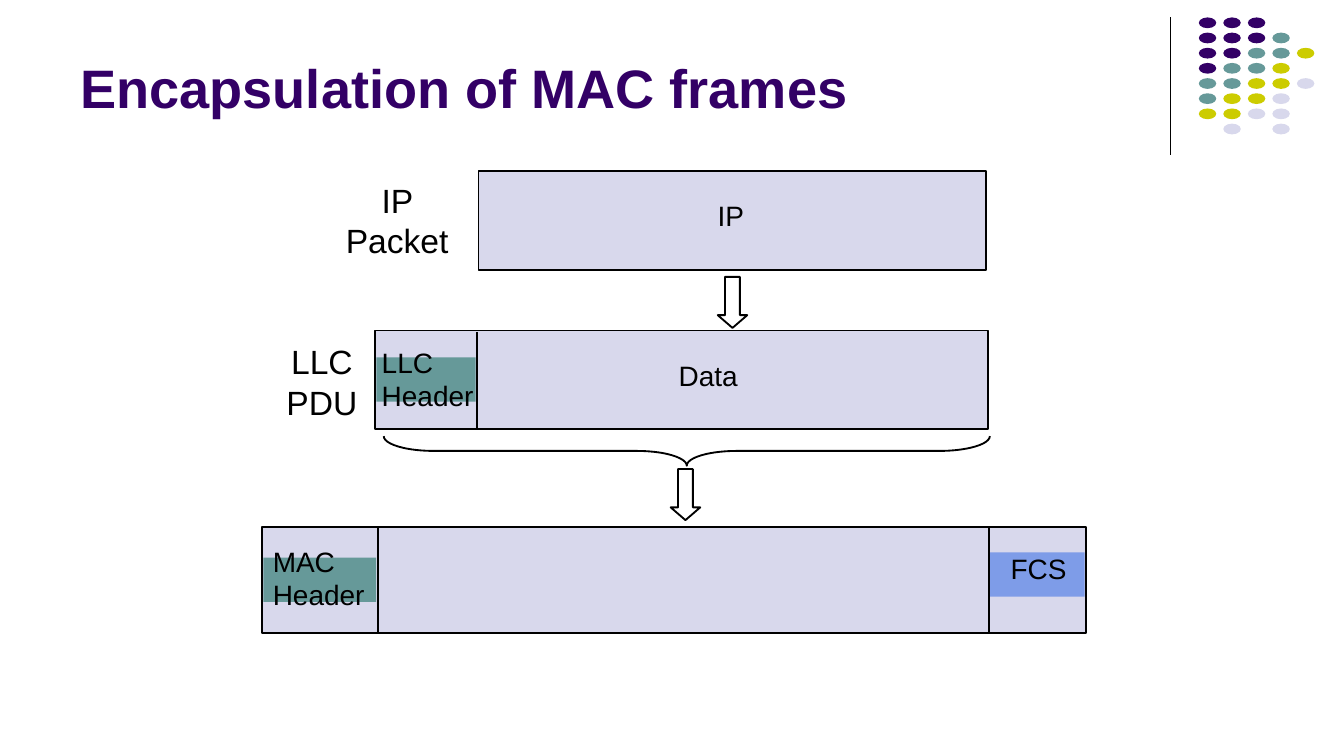
import pptx
import pptx.dml.color
import pptx.enum.shapes
import pptx.enum.text
import pptx.oxml
import pptx.util
from pptx.util import Inches

RGBColor = pptx.dml.color.RGBColor
MSO_SHAPE = pptx.enum.shapes.MSO_SHAPE
ALIGN = pptx.enum.text.PP_ALIGN
ANCHOR = pptx.enum.text.MSO_ANCHOR

BLACK = RGBColor(0x00, 0x00, 0x00)
WHITE = RGBColor(0xFF, 0xFF, 0xFF)
PURPLE = RGBColor(0x33, 0x00, 0x66)
TEAL = RGBColor(0x66, 0x99, 0x99)
YELLOW = RGBColor(0xCC, 0xCC, 0x00)
LAVENDER = RGBColor(0xD8, 0xD8, 0xEC)
BLUE = RGBColor(0x7E, 0x9C, 0xE8)

deck = pptx.Presentation()
deck.slide_width = Inches(10)
deck.slide_height = Inches(10 * 9 / 16)
page = deck.slides.add_slide(deck.slide_layouts[6])


def add_shape(kind, left, top, width, height, fill=None, outlined=True):
    shape = page.shapes.add_shape(kind, Inches(left), Inches(top), Inches(width), Inches(height))
    shape.shadow.inherit = False
    if fill is None:
        shape.fill.background()
    else:
        shape.fill.solid()
        shape.fill.fore_color.rgb = fill
    if outlined:
        shape.line.color.rgb = BLACK
        shape.line.width = pptx.util.Pt(1)
    else:
        shape.line.fill.background()
    return shape


def add_text(text, left, top, width, height, size, inset_x, inset_y,
             anchor=ANCHOR.TOP, align=ALIGN.LEFT, wrap=True, color=BLACK, bold=False):
    box = page.shapes.add_textbox(Inches(left), Inches(top), Inches(width), Inches(height))
    frame = box.text_frame
    frame.word_wrap = wrap
    frame.vertical_anchor = anchor
    frame.margin_left = frame.margin_right = Inches(inset_x)
    frame.margin_top = frame.margin_bottom = Inches(inset_y)
    para = frame.paragraphs[0]
    para.alignment = align
    span = para.add_run()
    span.text = text
    span.font.name = "Arial"
    span.font.size = pptx.util.Pt(size)
    span.font.bold = bold
    span.font.color.rgb = color


dot_colors = {"P": PURPLE, "T": TEAL, "Y": YELLOW, "L": LAVENDER}
dot_rows = ["PPP", "PPPT", "PPTTY", "PTTY", "TTYYL", "TYYL", "YYLL", ".L.L"]
column_step = (9.65 - 8.92) / 4
row_step = (0.92 - 0.13) / 7
for row, letters in enumerate(dot_rows):
    for column, letter in enumerate(letters):
        if letter in dot_colors:
            add_shape(MSO_SHAPE.OVAL, 8.92 + column_step * column, 0.13 + row_step * row,
                      0.13, 0.08, dot_colors[letter], outlined=False)

add_text("Encapsulation of MAC frames", 0.5, 0.1, 8.25, 0.84, 29, 0.1, 0.05,
         anchor=ANCHOR.BOTTOM, color=PURPLE, bold=True)

for left, top, width, height in [(3.56, 1.27, 3.78, 0.74), (2.79, 2.46, 4.56, 0.73),
                                 (1.95, 3.92, 6.13, 0.79)]:
    add_shape(MSO_SHAPE.RECTANGLE, left, top, width, height, LAVENDER)

for left, top, width, fill in [(2.8, 2.66, 0.74, TEAL), (1.96, 4.15, 0.84, TEAL),
                               (7.36, 4.11, 0.71, BLUE)]:
    add_shape(MSO_SHAPE.RECTANGLE, left, top, width, 0.33, fill, outlined=False)

for x, top, bottom, weight in [(8.71, 0.13, 1.15, 0.75), (3.55, 2.47, 3.2, 1),
                               (2.81, 3.93, 4.72, 1), (7.36, 3.93, 4.71, 1)]:
    divider = page.shapes.add_connector(pptx.enum.shapes.MSO_CONNECTOR.STRAIGHT,
                                        Inches(x), Inches(top), Inches(x), Inches(bottom))
    divider.line.color.rgb = BLACK
    divider.line.width = pptx.util.Pt(weight)
    divider.element.spPr.append(pptx.oxml.parse_xml(
        '<a:effectLst xmlns:a="http://schemas.openxmlformats.org/drawingml/2006/main"/>'))

for left, top in [(5.34, 2.06), (4.99, 3.49)]:
    arrow = add_shape(MSO_SHAPE.DOWN_ARROW, left, top, 0.22, 0.38, WHITE)
    arrow.adjustments[0] = 0.5
    arrow.adjustments[1] = 0.43

brace = add_shape(MSO_SHAPE.LEFT_BRACE, 5, 1.1, 0.22, 4.51)
brace.rotation = 270
brace.adjustments[0] = 1.7
brace.adjustments[1] = 0.5

for text, left, top, width, height, wrap in [
    ("IP", 5.27, 1.44, 0.35, 0.32, False),
    ("LLC Header", 2.77, 2.53, 0.88, 0.57, True),
    ("Data", 4.98, 2.63, 0.59, 0.32, False),
    ("MAC Header", 1.96, 4.01, 0.93, 0.57, True),
    ("FCS", 7.45, 4.06, 0.57, 0.32, False),
]:
    add_text(text, left, top, width, height, 15, 0.07, 0.04, wrap=wrap)

for text, left, top, width in [("IP Packet", 2.44, 1.29, 1.03), ("LLC PDU", 1.92, 2.49, 0.95)]:
    add_text(text, left, top, width, 0.7, 18, 0.1, 0.05, anchor=ANCHOR.MIDDLE, align=ALIGN.CENTER)

deck.save("out.pptx")
